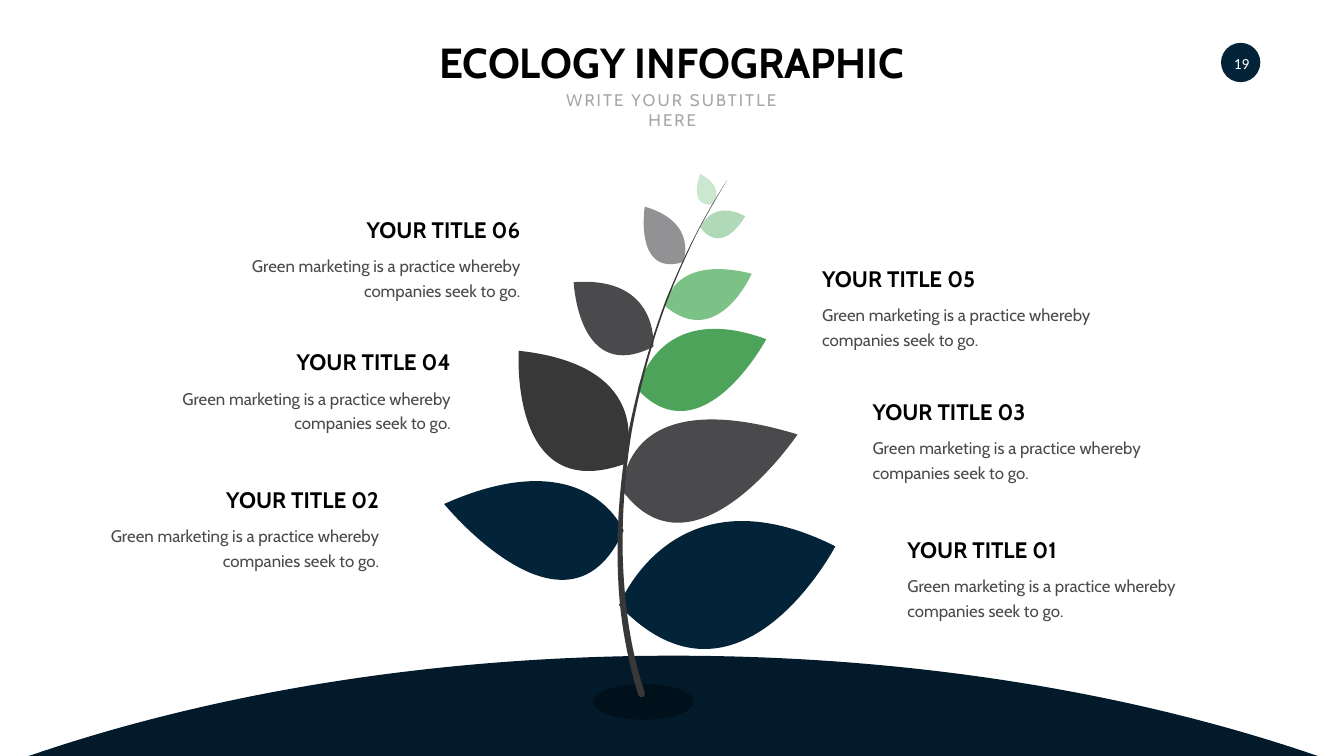
import pptx
import pptx.util
import pptx.dml.color
import pptx.enum.shapes
import pptx.enum.text
import pptx.oxml.ns
from lxml import etree

PX = 9144
RGB = pptx.dml.color.RGBColor.from_string
ALIGN = pptx.enum.text.PP_ALIGN
ANCHOR = pptx.enum.text.MSO_ANCHOR
OVAL = pptx.enum.shapes.MSO_SHAPE.OVAL
qn = pptx.oxml.ns.qn


def add_curve(points, color):
    builder = s.shapes.build_freeform(*points[0], scale=PX)
    builder.add_line_segments(points[1:], close=True)
    sp = builder.convert_to_shape()
    sp.shadow.inherit = False
    sp.fill.solid()
    sp.fill.fore_color.rgb = RGB(color)
    sp.line.fill.background()
    lines = list(sp._element.iter(qn("a:lnTo")))
    for i in range(0, len(lines), 3):
        cubic = etree.Element(qn("a:cubicBezTo"))
        lines[i].addprevious(cubic)
        for line in lines[i:i + 3]:
            cubic.append(line[0])
            line.getparent().remove(line)


def write(sp, box, text, size, color, align, font="Cabin", bold=False, anchor=ANCHOR.TOP):
    sp.left, sp.top, sp.width, sp.height = [v * PX for v in box]
    tf = sp.text_frame
    tf.text = text
    tf.word_wrap = True
    tf.auto_size = pptx.enum.text.MSO_AUTO_SIZE.SHAPE_TO_FIT_TEXT
    tf.vertical_anchor = anchor
    p = tf.paragraphs[0]
    p.alignment = align
    p.space_before = pptx.util.Pt(0)
    r = p.runs[0]
    r.font.name = font
    r.font.size = pptx.util.Pt(size)
    r.font.bold = bold
    r.font.color.rgb = RGB(color)
    return tf


prs = pptx.Presentation()
prs.slide_width = 2666 * PX
prs.slide_height = 1500 * PX
s = prs.slides.add_slide(prs.slide_layouts[0])

write(s.shapes.title, (820, 67, 1025, 111), "ECOLOGY INFOGRAPHIC", 60, "000000",
      ALIGN.CENTER, bold=True)
tf = write(s.placeholders[1], (1062, 172, 543, 50), "WRITE YOUR SUBTITLE HERE", 24,
           "A6A6A6", ALIGN.CENTER)
tf.paragraphs[0].runs[0].font._element.set("spc", "300")

hill = [(57, 1500), (423, 1374), (863, 1301), (1336, 1301),
        (1809, 1301), (2248, 1374), (2614, 1500)]
add_curve(hill, "021A2A")

ovals = [
    ((2422, 85, 78, 78), "022338"),
    ((1177, 1357, 199, 71), "01111C"),
]
for box, color in ovals:
    sp = s.shapes.add_shape(OVAL, *[v * PX for v in box])
    sp.shadow.inherit = False
    sp.fill.solid()
    sp.fill.fore_color.rgb = RGB(color)
    sp.line.fill.background()

leaves = [
    ((1228, 1201), (1336, 923), (1657, 1084), (1465, 1450), "022338"),
    ((1238, 921), (1314, 727), (1029, 696), (1009, 1002), "383839"),
    ((1235, 974), (1228, 754), (1582, 862), (1378, 1165), "4A4A4C"),
    ((1296, 688), (1309, 547), (1138, 560), (1147, 764), "4A4A4C"),
    ((1355, 520), (1387, 442), (1279, 410), (1257, 550), "929294"),
    ((1265, 773), (1301, 593), (1520, 673), (1393, 910), "4CA359"),
    ((1320, 608), (1328, 503), (1491, 543), (1425, 695), "7CC287"),
    ((1237, 1053), (1166, 873), (881, 1000), (1126, 1300), "022338"),
    ((1389, 451), (1412, 394), (1478, 429), (1434, 511), "B0DAB7"),
    ((1413, 406), (1443, 374), (1389, 345), (1363, 410), "CBE7CF"),
]
for base, upper, tip, lower, color in leaves:
    add_curve([base, base, upper, tip, tip, lower, base], color)

stem = [
    (1442, 358),
    (1419, 396), (1397, 434), (1377, 474),
    (1358, 514), (1340, 554), (1324, 596),
    (1293, 678), (1270, 765), (1254, 851),
    (1242, 920), (1234, 1010), (1235, 1090),
    (1236, 1142), (1240, 1195), (1248, 1246),
    (1255, 1290), (1265, 1333), (1279, 1374),
    (1280, 1378), (1278, 1382), (1275, 1383),
    (1271, 1384), (1268, 1382), (1266, 1379),
    (1253, 1336), (1243, 1292), (1236, 1248),
    (1228, 1196), (1225, 1147), (1225, 1090),
    (1225, 1010), (1234, 925), (1248, 850),
    (1266, 764), (1290, 677), (1321, 595),
    (1338, 553), (1356, 513), (1376, 473),
    (1396, 434), (1418, 395), (1442, 358),
]
add_curve(stem, "383839")

tf = write(s.shapes.add_textbox(0, 0, 0, 0), (2424, 87, 78, 78), "19", 22, "FFFFFF",
           ALIGN.CENTER, font="Calibri", anchor=ANCHOR.MIDDLE)
tf.auto_size = pptx.enum.text.MSO_AUTO_SIZE.NONE
tf.margin_left = tf.margin_right = 5 * PX

HEAD_W, BODY_W = 336, 593
items = [
    ("01", 1790, 1058, ALIGN.LEFT),
    ("03", 1721, 784, ALIGN.LEFT),
    ("05", 1621, 521, ALIGN.LEFT),
    ("02", 169, 959, ALIGN.RIGHT),
    ("04", 311, 686, ALIGN.RIGHT),
    ("06", 449, 423, ALIGN.RIGHT),
]
for number, x, y, align in items:
    head_x = x if align == ALIGN.LEFT else x + BODY_W - HEAD_W
    write(s.shapes.add_textbox(0, 0, 0, 0), (head_x, y, HEAD_W, 64), f"YOUR TITLE {number}",
          32, "000000", align, bold=True, anchor=ANCHOR.MIDDLE)
    tf = write(s.shapes.add_textbox(0, 0, 0, 0), (x, y + 71, BODY_W, 103),
               "Green marketing is a practice whereby companies seek to go.",
               24, "4A4A4C", align)
    tf.paragraphs[0].line_spacing = pptx.util.Pt(35)

prs.save("out.pptx")
